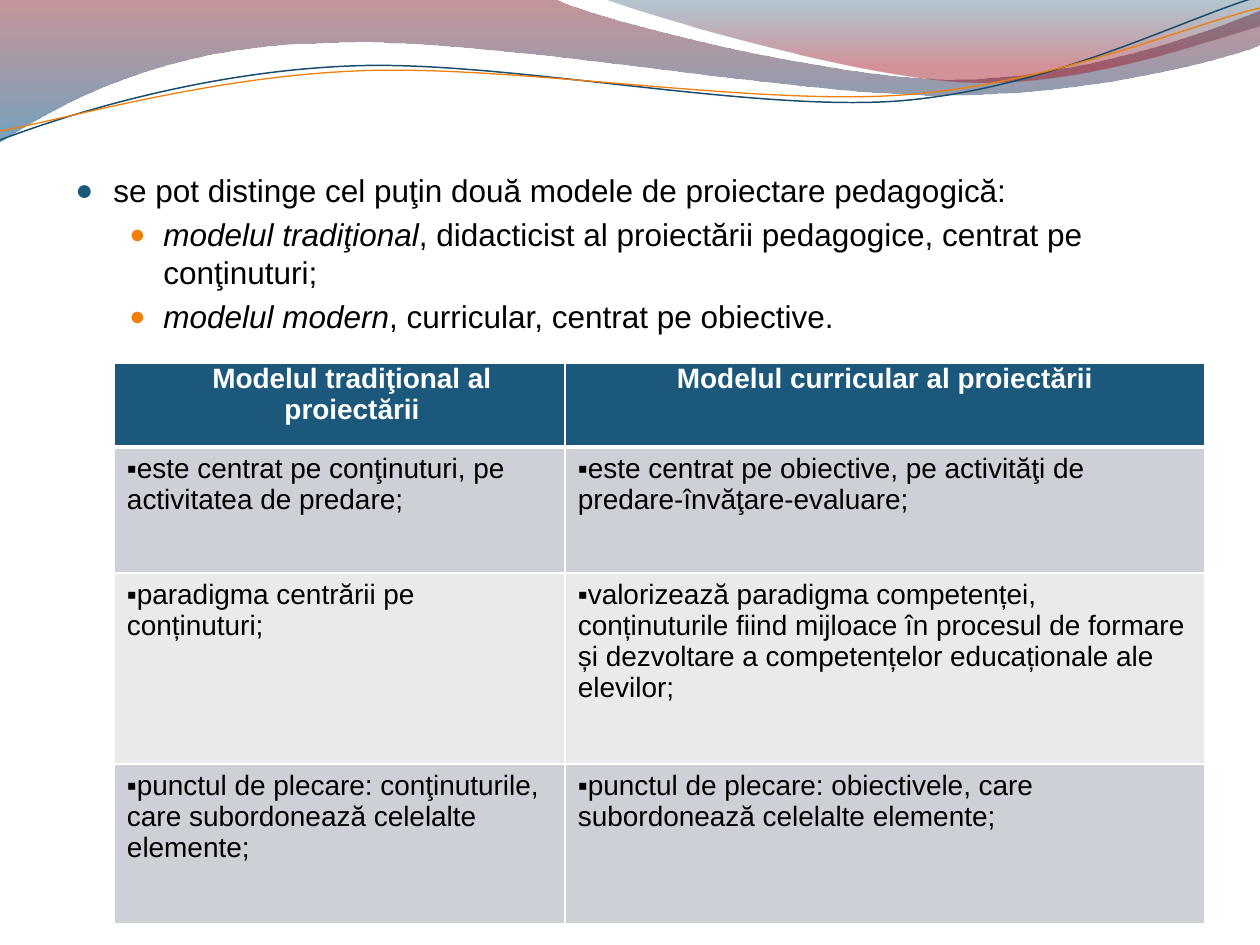
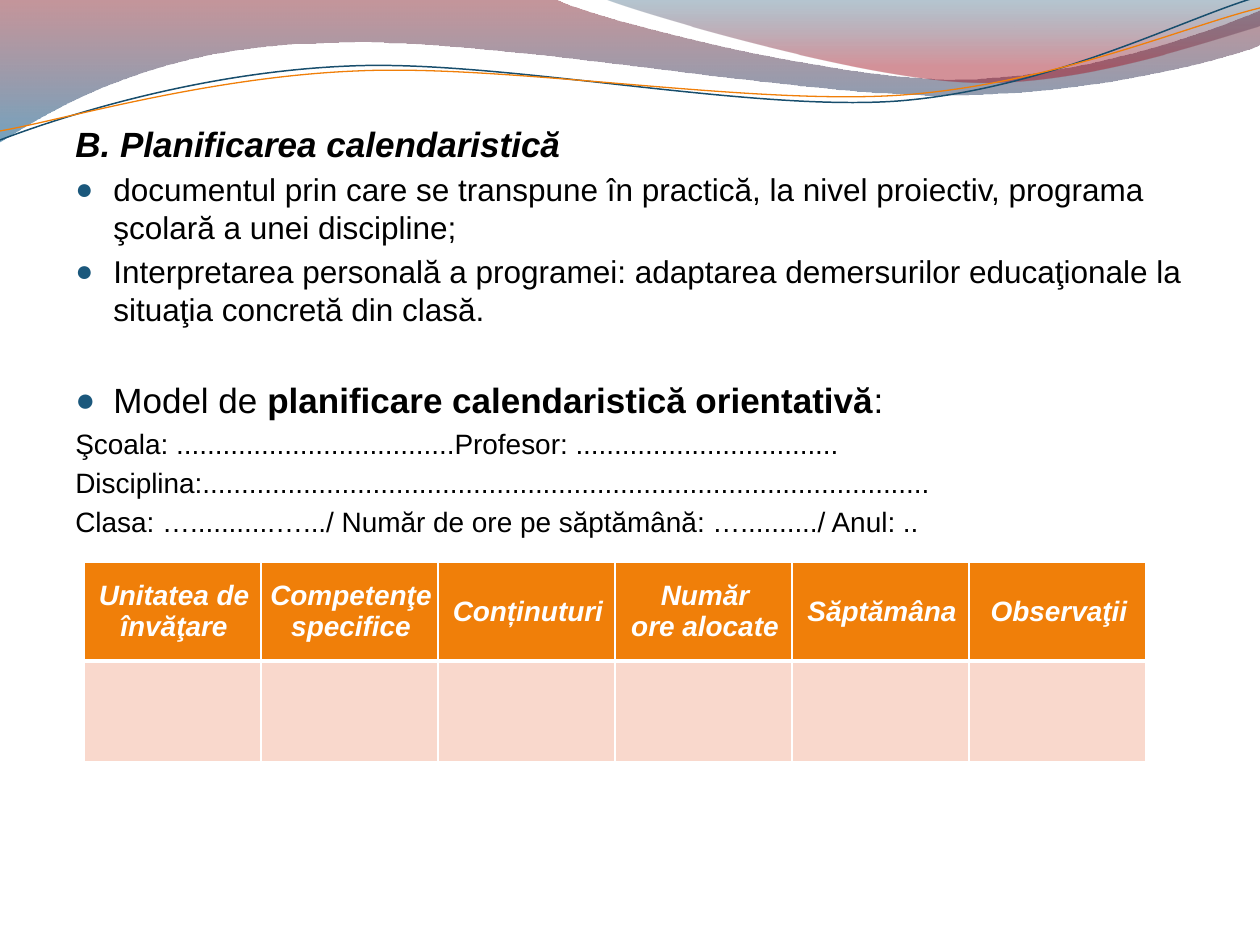
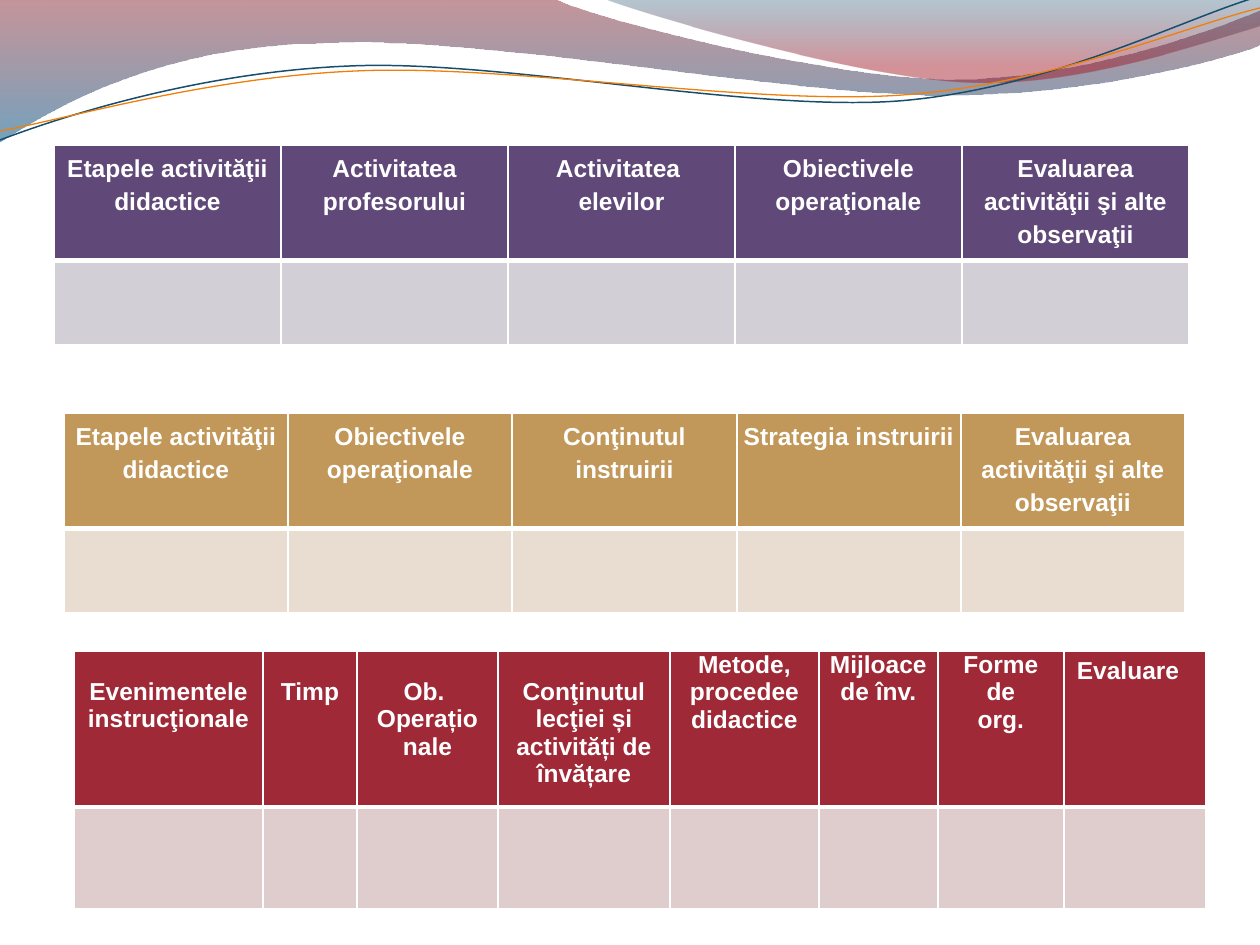
"""Build three slides on lesson planning models, with waves, bullets and tables."""
from dataclasses import dataclass
from typing import NamedTuple, Optional

from lxml import etree
from pptx import Presentation
from pptx import util as u
from pptx.dml import color as c
from pptx.enum import text as t
from pptx.oxml import ns

SCALE = 914400 / 126
CENTER = t.PP_ALIGN.CENTER
LEFT = t.PP_ALIGN.LEFT
Point = tuple[int, int]


@dataclass(frozen=True)
class Theme:
    """Colours and type sizes of the deck."""
    font: str = "Arial"
    ink: str = "000000"
    white: str = "FFFFFF"
    blue: str = "1B587C"
    orange: str = "F07F09"
    wave_blue: str = "184E6D"
    blue_bands: tuple[str, str] = ("CDD1D7", "E8EAEC")
    orange_bands: tuple[str, ...] = ("F9D8CC",)
    purple: str = "604878"
    purple_bands: tuple[str, ...] = ("D2CFD6",)
    gold: str = "C19859"
    gold_bands: tuple[str, ...] = ("E9DDD1",)
    red: str = "9F2936"
    red_bands: tuple[str, ...] = ("DFCDCE",)
    title: int = 20
    body: int = 18
    form: int = 16
    small: int = 14


THEME = Theme()


class Stop(NamedTuple):
    """Gradient stop; position and opacity in percent."""
    position: int
    color: str
    opacity: int


class Wave(NamedTuple):
    """Outline whose steps hold one point for a line or three for a curve."""
    start: Point
    steps: tuple[tuple[Point, ...], ...]
    stops: tuple[Stop, ...] = ()
    line: str = ""
    weight: float = 0


class Span(NamedTuple):
    """Piece of text with one format."""
    text: str
    bold: bool = False
    italic: bool = False


class Bullet(NamedTuple):
    """Bullet sign with its place in pixels."""
    sign: str
    margin: int = 0
    hanging: int = 0
    color: str = THEME.ink
    percent: int = 100


class Line(NamedTuple):
    """Paragraph of a body box."""
    spans: tuple[Span, ...]
    size: int = THEME.body
    bullet: Optional[Bullet] = None
    gap: float = 0


class Insets(NamedTuple):
    """Cell margins in pixels."""
    left: int = 13
    top: int = 6
    right: int = 13
    bottom: int = 6


class Head(NamedTuple):
    """Header cell; its text has one paragraph a line."""
    text: str
    insets: Insets
    align: t.PP_ALIGN = CENTER
    margin: int = 0


@dataclass(frozen=True)
class Grid:
    """Table with a header row and banded rows."""
    left: int
    top: int
    columns: tuple[int, ...]
    rows: tuple[int, ...]
    heads: tuple[Head, ...]
    fill: str
    bands: tuple[str, ...]
    size: int
    body: tuple[tuple[str, ...], ...] = ()
    italic: bool = False
    spacing: float = 1.0
    anchor: t.MSO_ANCHOR = t.MSO_ANCHOR.TOP
    height: int = 0


WAVES = (
    Wave((0, 0), (
        ((554, -1),),
        ((600, 21), (837, 79), (955, 79)),
        ((1075, 79), (1207, 33), (1260, 11)),
        ((1261, 45),),
        ((1239, 55), (1096, 96), (940, 95)),
        ((784, 95), (481, 35), (324, 43)),
        ((163, 45), (58, 105), (-1, 142)),
    ), stops=(Stop(0, "7E1621", 45), Stop(100, "005689", 55))),
    Wave((604, -1), (
        ((641, 14), (859, 78), (969, 82)),
        ((1079, 87), (1211, 40), (1260, 26)),
        ((1260, 0),),
    ), stops=(Stop(0, "094467", 30), Stop(80, "A10F1F", 45))),
    Wave((0, 140), (
        ((60, 117), (199, 72), (349, 66)),
        ((498, 59), (747, 112), (898, 101)),
        ((1050, 89), (1182, 19), (1257, -3)),
    ), line=THEME.wave_blue, weight=0.85),
    Wave((0, 131), (
        ((59, 121), (207, 77), (357, 71)),
        ((508, 64), (752, 106), (903, 95)),
        ((1053, 84), (1186, 26), (1260, 8)),
    ), line=THEME.orange, weight=0.75),
)


def px(value: float) -> u.Emu:
    """Turn pixels into EMU."""
    return u.Emu(round(value * SCALE))


def rgb(value: str) -> c.RGBColor:
    """Turn a hex string into a colour."""
    return c.RGBColor.from_string(value)


def child(parent, tag: str, **attributes):
    """Append a DrawingML element."""
    return etree.SubElement(parent, ns.qn(f"a:{tag}"),
                            {key: str(value) for key, value in attributes.items()})


def bend(shape, steps: tuple[tuple[Point, ...], ...]) -> None:
    """Turn the straight segments of three-point steps into cubic curves."""
    segments = list(shape._element.iter(ns.qn("a:lnTo")))
    for segment, step in zip(segments, steps):
        if len(step) == 3:
            curve = etree.Element(ns.qn("a:cubicBezTo"))
            for x, y in step:
                child(curve, "pt", x=px(x) - shape.left, y=px(y) - shape.top)
            segment.getparent().replace(segment, curve)


def fill_gradient(shape, stops: tuple[Stop, ...]) -> None:
    """Fill a shape from top to bottom with translucent colours."""
    shape.fill.background()
    properties = shape._element.spPr
    blank = properties.find(ns.qn("a:noFill"))
    gradient = etree.Element(ns.qn("a:gradFill"), rotWithShape="1")
    listing = child(gradient, "gsLst")
    for stop in stops:
        mark = child(listing, "gs", pos=stop.position * 1000)
        child(child(mark, "srgbClr", val=stop.color), "alpha", val=stop.opacity * 1000)
    child(gradient, "lin", ang=5400000, scaled=0)
    properties.replace(blank, gradient)


def draw_wave(page, wave: Wave):
    """Draw a filled band or a thin curve."""
    builder = page.shapes.build_freeform(*map(px, wave.start), scale=1.0)
    builder.add_line_segments([(px(step[-1][0]), px(step[-1][1])) for step in wave.steps],
                              close=bool(wave.stops))
    shape = builder.convert_to_shape()
    bend(shape, wave.steps)
    shape.shadow.inherit = False
    if wave.stops:
        fill_gradient(shape, wave.stops)
        shape.line.fill.background()
    else:
        shape.fill.background()
        shape.line.color.rgb = rgb(wave.line)
        shape.line.width = u.Pt(wave.weight)
    return shape


def write(para, text: str, *, size: int, color: str = THEME.ink,
          bold: bool = False, italic: bool = False) -> None:
    """Add formatted text to a paragraph."""
    span = para.add_run()
    span.text = text
    font = span.font
    font.name, font.size, font.bold, font.italic = THEME.font, u.Pt(size), bold, italic
    font.color.rgb = rgb(color)


def add_bullet(para, bullet: Bullet) -> None:
    """Give a paragraph its bullet and indent."""
    properties = para._p.get_or_add_pPr()
    properties.set("marL", str(px(bullet.margin)))
    properties.set("indent", str(-px(bullet.hanging)))
    child(child(properties, "buClr"), "srgbClr", val=bullet.color)
    child(properties, "buSzPct", val=bullet.percent * 1000)
    child(properties, "buFont", typeface=THEME.font)
    child(properties, "buChar", char=bullet.sign)


def next_para(frame, index: int):
    """Return the first paragraph or a new one."""
    return frame.add_paragraph() if index else frame.paragraphs[0]


def add_body(page, top: int, height: int, lines: tuple[Line, ...]) -> None:
    """Place the main text of a page."""
    frame = page.shapes.add_textbox(px(63), px(top), px(1134), px(height)).text_frame
    frame.word_wrap = True
    for index, line in enumerate(lines):
        para = next_para(frame, index)
        para.space_before = u.Pt((line.gap or 0.2 * line.size) if index else 0)
        if line.bullet:
            add_bullet(para, line.bullet)
        for span in line.spans:
            write(para, span.text, size=line.size, bold=span.bold, italic=span.italic)


def style_cell(cell, fill: str, insets: Insets, top: int, bottom: int) -> None:
    """Set the fill, margins and white borders of a cell."""
    cell.fill.solid()
    cell.fill.fore_color.rgb = rgb(fill)
    cell.margin_left, cell.margin_top, cell.margin_right, cell.margin_bottom = map(px, insets)
    properties = cell._tc.get_or_add_tcPr()
    for index, (side, weight) in enumerate(zip("LRTB", (1, 1, top, bottom))):
        border = etree.Element(ns.qn(f"a:ln{side}"), w=str(u.Pt(weight)))
        child(child(border, "solidFill"), "srgbClr", val=THEME.white)
        properties.insert(index, border)


def add_grid(page, grid: Grid) -> None:
    """Draw a table with its header and rows."""
    frame = page.shapes.add_table(len(grid.rows), len(grid.columns), px(grid.left), px(grid.top),
                                  px(sum(grid.columns)), px(sum(grid.rows)))
    table = frame.table
    table.first_row = table.horz_banding = False
    for column, width in zip(table.columns, grid.columns):
        column.width = px(width)
    for row, height in zip(table.rows, grid.rows):
        row.height = px(height)
    frame.height = px(grid.height or sum(grid.rows))
    for index, head in enumerate(grid.heads):
        cell = table.cell(0, index)
        style_cell(cell, grid.fill, head.insets, 1, 3)
        cell.vertical_anchor = grid.anchor
        for number, text in enumerate(head.text.split("\n")):
            para = next_para(cell.text_frame, number)
            para.alignment = head.align
            para.line_spacing = grid.spacing
            if head.margin:
                para._p.get_or_add_pPr().set("marL", str(px(head.margin)))
            write(para, text, size=grid.size, color=THEME.white, bold=True, italic=grid.italic)
        for number in range(1, len(grid.rows)):
            style_cell(table.cell(number, index), grid.bands[(number - 1) % len(grid.bands)],
                       Insets(), 3 if number == 1 else 1, 1)
    for number, texts in enumerate(grid.body, 1):
        for index, text in enumerate(texts):
            para = table.cell(number, index).text_frame.paragraphs[0]
            add_bullet(para, Bullet("▪"))
            write(para, text, size=grid.size)


def add_page(deck):
    """Add a page on the blank layout."""
    return deck.slides.add_slide(deck.slide_layouts[6])


def share_waves(deck, page) -> None:
    """Put the waves on the blank layout, in place of its placeholders."""
    layout = deck.slide_layouts[6]
    for holder in list(layout.placeholders):
        holder._element.getparent().remove(holder._element)
    shapes = [draw_wave(page, wave) for wave in WAVES]
    for shape in shapes:
        layout.shapes._spTree.append(shape._element)


def heads(insets: Insets, *texts: str) -> tuple[Head, ...]:
    """Make header cells that share their margins."""
    return tuple(Head(text, insets) for text in texts)


MAIN = Bullet("●", 38, 38, THEME.blue, 95)
SUB = Bullet("●", 88, 34, THEME.orange, 85)
FLUSH = Insets(9, 0, 9, 0)
LOWERED = Insets(9, 27, 9, 0)
TIGHT = Insets(5, 5, 5, 5)


def build_models(page) -> None:
    """Compare the traditional and the curricular model."""
    add_body(page, 165, 707, (
        Line((Span("se pot distinge cel puţin două modele de proiectare pedagogică:"),),
             bullet=MAIN),
        Line((Span("modelul tradiţional", italic=True),
              Span(", didacticist al proiectării pedagogice, centrat pe conţinuturi;")),
             bullet=SUB),
        Line((Span("modelul modern", italic=True),
              Span(", curricular, centrat pe obiective.")), bullet=SUB),
    ))
    add_grid(page, Grid(
        114, 363, (451, 640), (84, 126, 191, 160),
        (Head("Modelul tradiţional al proiectării", FLUSH, margin=25),
         Head("Modelul curricular al proiectării", FLUSH)),
        THEME.blue, THEME.blue_bands, THEME.form,
        body=(
            ("este centrat pe conţinuturi, pe activitatea de predare;",
             "este centrat pe obiective, pe activităţi de predare-învăţare-evaluare; "),
            ("paradigma centrării pe conținuturi;",
             "valorizează paradigma competenței, conținuturile fiind mijloace în procesul "
             "de formare și dezvoltare a competențelor educaționale ale elevilor;"),
            ("punctul de plecare: conţinuturile, care subordonează celelalte elemente;",
             "punctul de plecare: obiectivele, care subordonează celelalte elemente;"),
        )))


def build_calendar(page) -> None:
    """Show the calendar planning form."""
    form = ("Şcoala: " + "." * 36 + "Profesor: " + "." * 34,
            "Disciplina:" + "." * 94,
            "Clasa: …...........….../ Număr de ore pe săptămână: …........../ Anul: ..")
    add_body(page, 116, 756, (
        Line((Span("B. Planificarea calendaristică", True, True),), THEME.title),
        Line((Span("documentul prin care se transpune în practică, la nivel proiectiv, "
                   "programa şcolară a unei discipline;"),), bullet=MAIN),
        Line((Span("Interpretarea personală a programei: adaptarea demersurilor "
                   "educaţionale la situaţia concretă din clasă."),), bullet=MAIN),
        Line((Span("Model de "), Span("planificare calendaristică orientativă", True),
              Span(":")), THEME.title, MAIN, gap=29),
        *(Line((Span(text),), THEME.form) for text in form),
    ))
    add_grid(page, Grid(
        84, 562, (177,) * 6, (99, 101),
        heads(Insets(8, 8, 5, 8), "Unitatea de învăţare", "Competenţe specifice", "Conținuturi",
              "Număr\nore alocate", "Săptămâna", "Observaţii"),
        THEME.orange, THEME.orange_bands, THEME.form,
        italic=True, anchor=t.MSO_ANCHOR.MIDDLE))


def build_lesson_plans(page) -> None:
    """Show three table forms of a lesson plan."""
    first, last = "Etapele activităţii didactice", "Evaluarea activităţii şi alte observaţii"
    add_grid(page, Grid(
        54, 145, (227,) * 5, (84, 84),
        heads(TIGHT, first, "Activitatea profesorului", "Activitatea \nelevilor",
              "Obiectivele operaţionale", last),
        THEME.purple, THEME.purple_bands, THEME.small, spacing=1.2, height=200))
    add_grid(page, Grid(
        64, 413, (224, 224, 225, 224, 224), (84, 84),
        heads(TIGHT, first, "Obiectivele operaţionale", "Conţinutul instruirii",
              "Strategia instruirii", last),
        THEME.gold, THEME.gold_bands, THEME.small, spacing=1.2, height=200))
    add_grid(page, Grid(
        74, 651, (189, 94, 141, 172, 149, 119, 126, 142), (156, 102),
        (*heads(LOWERED, "Evenimentele\ninstrucţionale", "Timp", "Ob. \nOperațio\nnale",
                "Conţinutul lecţiei și activități de învățare"),
         *heads(FLUSH, "Metode,\nprocedee\ndidactice", "Mijloace\nde înv.", "Forme\nde\norg."),
         Head("Evaluare", Insets(), LEFT)),
        THEME.red, THEME.red_bands, THEME.small))


def main() -> None:
    """Build and save the deck."""
    deck = Presentation()
    deck.slide_width, deck.slide_height = px(1260), px(945)
    pages = [add_page(deck) for _ in range(3)]
    share_waves(deck, pages[0])
    for build, page in zip((build_models, build_calendar, build_lesson_plans), pages):
        build(page)
    deck.save("out.pptx")


main()
